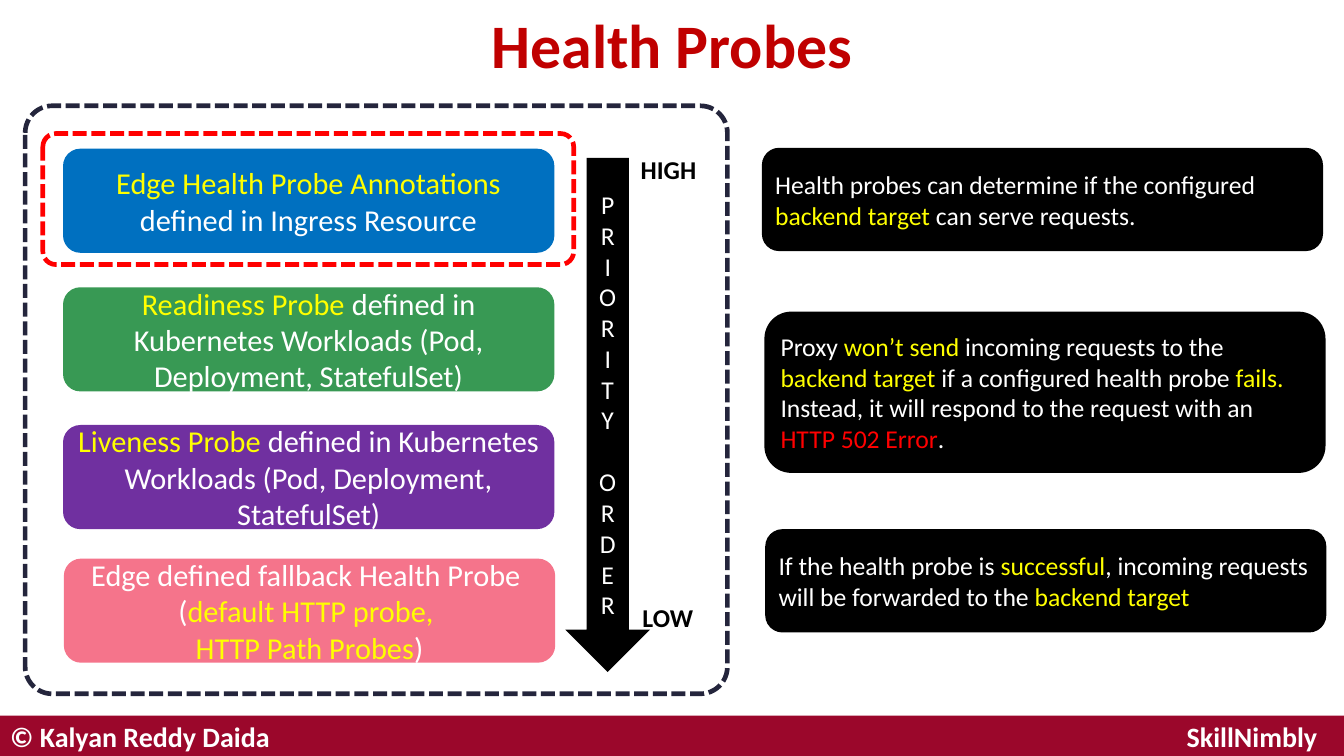
import pptx
import pptx.dml.color
import pptx.enum.dml
import pptx.enum.shapes
import pptx.enum.text
import pptx.util

Inches = pptx.util.Inches
SHAPES = pptx.enum.shapes.MSO_SHAPE
ALIGN = pptx.enum.text.PP_ALIGN
MIDDLE = pptx.enum.text.MSO_ANCHOR.MIDDLE

WHITE, YELLOW, RED, BLACK = "FFFFFF", "FFFF00", "FF0000", "000000"

PROBES = [
    (0.75, 1.77, "0070C0", [[("Edge Health Probe Annotations ", YELLOW),
                             ("defined in Ingress Resource", WHITE)]]),
    (0.75, 3.42, "389954", [[("Readiness Probe ", YELLOW),
                             ("defined in Kubernetes Workloads (Pod, Deployment, StatefulSet)", WHITE)]]),
    (0.75, 5.06, "7030A0", [[("Liveness Probe ", YELLOW),
                             ("defined in Kubernetes Workloads (Pod, Deployment, StatefulSet)", WHITE)]]),
    (0.76, 6.65, "F5748B", [[("Edge defined fallback Health Probe ", WHITE)],
                            [("(", WHITE), ("default HTTP probe, ", YELLOW)],
                            [("HTTP Path Probes", YELLOW), (")", WHITE)]]),
]

NOTES = [
    (9.07, 1.76, 1.23, [("Health probes can determine if the configured ", WHITE),
                        ("backend target ", YELLOW), ("can serve requests.", WHITE)]),
    (9.1, 3.71, 1.92, [("Proxy ", WHITE), ("won’t send ", YELLOW),
                       ("incoming requests to the ", WHITE), ("backend target ", YELLOW),
                       ("if a configured health probe ", WHITE), ("fails.", YELLOW),
                       (" Instead, it will respond to the request with an ", WHITE),
                       ("HTTP 502 Error", RED), (".", WHITE)]),
    (9.11, 6.3, 1.23, [("If the health probe is ", WHITE), ("successful", YELLOW),
                       (", incoming requests will be forwarded to the ", WHITE),
                       ("backend target", YELLOW)]),
]


def color(value):
    """Turn a hex string into a colour."""
    return pptx.dml.color.RGBColor.from_string(value)


def write(shape, paragraphs, size, alignment=ALIGN.LEFT, bold=False):
    """Write paragraphs of (text, colour) runs into a shape."""
    frame = shape.text_frame
    frame.word_wrap = True
    frame.vertical_anchor = MIDDLE
    for index, runs in enumerate(paragraphs):
        paragraph = frame.add_paragraph() if index else frame.paragraphs[0]
        paragraph.alignment = alignment
        for text, value in runs:
            run = paragraph.add_run()
            run.text = text
            run.font.name = "Calibri"
            run.font.size = pptx.util.Pt(size)
            run.font.bold = bold
            run.font.color.rgb = color(value)
    return frame


def add_filled(slide, kind, box, fill):
    """Add a plain filled shape without an outline."""
    shape = slide.shapes.add_shape(kind, *map(Inches, box))
    shape.shadow.inherit = False
    shape.fill.solid()
    shape.fill.fore_color.rgb = color(fill)
    shape.line.fill.background()
    return shape


def add_dashed_frame(slide, box, value, rounding):
    """Add a rounded dashed outline."""
    shape = slide.shapes.add_shape(SHAPES.ROUNDED_RECTANGLE, *map(Inches, box))
    shape.shadow.inherit = False
    shape.adjustments[0] = rounding
    shape.fill.background()
    shape.line.color.rgb = color(value)
    shape.line.width = pptx.util.Pt(4)
    shape.line.dash_style = pptx.enum.dml.MSO_LINE.SQUARE_DOT


def add_label(slide, box, text, size, value, alignment=ALIGN.LEFT):
    """Add a bold one-line text box."""
    shape = slide.shapes.add_textbox(*map(Inches, box))
    frame = write(shape, [[(text, value)]], size, alignment, True)
    frame.word_wrap = False
    return frame


def add_footer(slide, left, top, width, height):
    """Add the footer band with its two labels."""
    add_filled(slide, SHAPES.RECTANGLE, (left, top, width, height), "9B072B")
    add_label(slide, (left + width - 2.19, top, 2.19, height), "SkillNimbly", 24, WHITE, ALIGN.CENTER)
    credit = add_label(slide, (left + 0.02, top, 3.62, height), "© Kalyan Reddy Daida", 24, WHITE)
    credit.margin_left = Inches(0.12)


def add_title(slide, left, top, width, height):
    """Place and format the title placeholder."""
    title = slide.shapes.title
    title.left, title.top, title.width, title.height = map(Inches, (left, top, width, height))
    frame = write(title, [[("Health Probes", "C00000")]], 53, ALIGN.CENTER, True)
    frame.paragraphs[0].line_spacing = 0.9


def add_priority_arrow(slide, left, top, width, height):
    """Add the downward arrow with its stacked letters and end labels."""
    arrow = add_filled(slide, SHAPES.DOWN_ARROW, (left, top, width, height), BLACK)
    letters = [[(letter, WHITE)] for letter in "PRIORITYORDER"]
    frame = write(arrow, letters, 22, ALIGN.CENTER)
    frame.paragraphs[len("PRIORITY")].space_before = pptx.util.Pt(26.5)
    add_label(slide, (left + 0.8, top - 0.1, 0.87, 0.47), "HIGH", 22, BLACK)
    add_label(slide, (left + 0.82, top + 5.23, 0.81, 0.47), "LOW", 22, BLACK)


def add_probe_panel(slide, left, top, width, height):
    """Add the framed list of probes in priority order."""
    add_dashed_frame(slide, (left, top, width, height), "24253C", 0.046)
    for probe_left, probe_top, fill, paragraphs in PROBES:
        probe = add_filled(slide, SHAPES.ROUNDED_RECTANGLE, (probe_left, probe_top, 5.85, 1.24), fill)
        write(probe, paragraphs, 26, ALIGN.CENTER)
    add_priority_arrow(slide, left + 6.43, top + 0.62, 1.01, 6.12)
    add_dashed_frame(slide, (left + 0.21, top + 0.33, 6.32, 1.56), RED, 0.1)


def add_notes_column(slide, width):
    """Add the black explanation boxes."""
    for left, top, height, runs in NOTES:
        note = add_filled(slide, SHAPES.ROUNDED_RECTANGLE, (left, top, width, height), BLACK)
        write(note, [runs], 22)


def main():
    """Build and save the presentation."""
    presentation = pptx.Presentation()
    presentation.slide_width, presentation.slide_height = Inches(16), Inches(9)
    slide = presentation.slides.add_slide(presentation.slide_layouts.get_by_name("Title Only"))
    add_footer(slide, -0.02, 8.52, 16.02, 0.48)
    add_title(slide, 1.1, -0.07, 13.8, 1.3)
    add_probe_panel(slide, 0.3, 1.26, 8.36, 7)
    add_notes_column(slide, 6.68)
    presentation.save("out.pptx")


if __name__ == "__main__":
    main()
